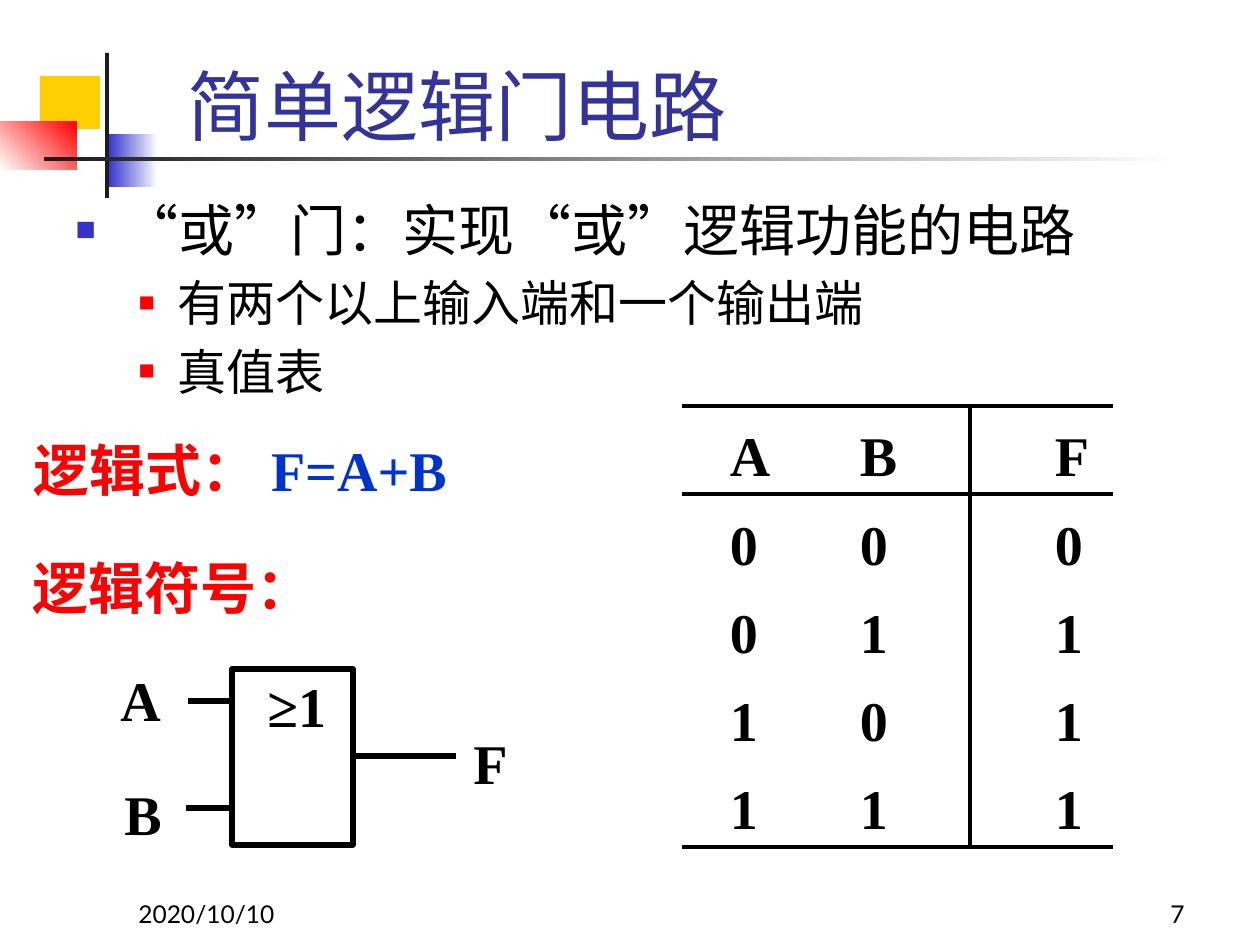
from lxml.etree import SubElement
from pptx import Presentation
from pptx.dml.color import RGBColor
from pptx.enum.lang import MSO_LANGUAGE_ID
from pptx.enum.shapes import MSO_CONNECTOR, MSO_SHAPE
from pptx.enum.text import MSO_ANCHOR, MSO_AUTO_SIZE, PP_ALIGN
from pptx.oxml import parse_xml
from pptx.oxml.ns import nsdecls, qn
from pptx.util import Emu, Pt

EMU_PER_PX = 914400 / 126
COLORS = {
    "black": "000000", "charcoal": "1C1C1C", "white": "FFFFFF",
    "yellow": "FFCF01", "red": "FF0000", "blue": "3333CC",
    "title": "333399", "formula": "0033CC",
}
SANS, SERIF = "Lato", "Times New Roman"
LINE_WIDTH = Pt(3)


def px(length):
    return Emu(round(length * EMU_PER_PX))


def rgb(name):
    return RGBColor.from_string(COLORS[name])


def write(paragraph, text, size=32, color="black", font=SERIF, bold=True,
          align=PP_ALIGN.LEFT):
    paragraph.alignment = align
    run = paragraph.add_run()
    run.text = text
    run.font.size = Pt(size)
    run.font.name = font
    run.font.bold = bold
    run.font.color.rgb = rgb(color)
    run.font.language_id = MSO_LANGUAGE_ID.SIMPLIFIED_CHINESE


def place(shape, left, top, width, height):
    shape.left, shape.top = px(left), px(top)
    shape.width, shape.height = px(width), px(height)


def add_label(slide, left, top, width, fill=None, height=79):
    """Add an empty label box and return its first paragraph."""
    shape = slide.shapes.add_textbox(px(left), px(top), px(width), px(height))
    if fill:
        shape.fill.solid()
        shape.fill.fore_color.rgb = rgb(fill)
    frame = shape.text_frame
    frame.word_wrap = True
    frame.margin_top = px(12)
    frame.margin_bottom = 0
    return frame.paragraphs[0]


def add_line(slide, x1, y1, x2, y2):
    line = slide.shapes.add_connector(
        MSO_CONNECTOR.STRAIGHT, px(x1), px(y1), px(x2), px(y2))
    line.line.color.rgb = rgb("black")
    line.line.width = LINE_WIDTH
    SubElement(line.element.spPr, qn("a:effectLst"))


def add_rectangle(slide, left, top, width, height):
    shape = slide.shapes.add_shape(
        MSO_SHAPE.RECTANGLE, px(left), px(top), px(width), px(height))
    shape.shadow.inherit = False
    shape.line.fill.background()
    return shape


def add_ornament(slide, left, top):
    blocks = [
        (40, 23, 60, 53, ["yellow"], 0),
        (108, 81, 50, 53, ["blue", "white"], 0),
        (0, 69, 77, 48, ["white", "red"], 45),
        (105, 0, 4, 145, ["charcoal"], 0),
        (44, 104, 1134, 4, ["charcoal", "white"], 0),
    ]
    for x, y, width, height, colors, angle in blocks:
        fill = add_rectangle(slide, left + x, top + y, width, height).fill
        if len(colors) == 1:
            fill.solid()
            fill.fore_color.rgb = rgb(colors[0])
            continue
        fill.gradient()
        fill.gradient_angle = angle
        for stop, color, position in zip(fill.gradient_stops, colors, (0, 1)):
            stop.color.rgb = rgb(color)
            stop.position = position


def fill_title(shape, text, *box):
    place(shape, *box)
    frame = shape.text_frame
    frame.auto_size = MSO_AUTO_SIZE.NONE
    frame.vertical_anchor = MSO_ANCHOR.BOTTOM
    write(frame.paragraphs[0], text, size=44, color="title", font=SANS, bold=False)


def set_bullet(paragraph, color, percent):
    properties = paragraph._p.get_or_add_pPr()
    for xml in (
        f'<a:buClr {nsdecls("a")}><a:srgbClr val="{COLORS[color]}"/></a:buClr>',
        f'<a:buSzPct {nsdecls("a")} val="{percent * 1000}"/>',
        f'<a:buChar {nsdecls("a")} char="■"/>',
    ):
        properties.append(parse_xml(xml))


def fill_body(shape, items, *box):
    """Write (level, text) items as a bulleted list."""
    place(shape, *box)
    frame = shape.text_frame
    frame.auto_size = MSO_AUTO_SIZE.NONE
    styles = [(32, "blue", 60), (28, "red", 55)]
    for index, (level, text) in enumerate(items):
        paragraph = frame.add_paragraph() if index else frame.paragraphs[0]
        size, color, percent = styles[level]
        paragraph.level = level
        write(paragraph, text, size=size, font=SANS, bold=False)
        set_bullet(paragraph, color, percent)


def set_borders(cell, sides):
    """Draw the named sides (L, R, T, B) and clear the others."""
    properties = cell._tc.get_or_add_tcPr()
    for index, side in enumerate("LRTB"):
        paint = (f'<a:solidFill><a:srgbClr val="{COLORS["black"]}"/></a:solidFill>'
                 if side in sides else "<a:noFill/>")
        properties.insert(index, parse_xml(
            f'<a:ln{side} {nsdecls("a")} w="{LINE_WIDTH}">{paint}</a:ln{side}>'))


def add_truth_table(slide, rows, left, top, width, height):
    column_widths, indents = (130, 158, 143), (48, 48, 85)
    table = slide.shapes.add_table(
        len(rows), len(column_widths), px(left), px(top), px(width), px(height)).table
    table.first_row = table.horz_banding = False
    for column, column_width in zip(table.columns, column_widths):
        column.width = px(column_width)
    last = len(rows) - 1
    for r, values in enumerate(rows):
        table.rows[r].height = px(height / len(rows))
        for c, value in enumerate(values):
            cell = table.cell(r, c)
            cell.fill.background()
            cell.margin_left, cell.margin_right = px(indents[c]), 0
            cell.margin_top, cell.margin_bottom = px(16), 0
            cell.vertical_anchor = MSO_ANCHOR.MIDDLE
            write(cell.text_frame.paragraphs[0], value)
            sides = ("", "R", "L")[c]
            sides += "T" if r in (0, 1) else ""
            sides += "B" if r in (0, last) else ""
            set_borders(cell, sides)


def add_or_gate(slide, left, top):
    body = add_rectangle(slide, left + 124, top + 16, 121, 176)
    body.fill.background()
    body.line.color.rgb = rgb("black")
    body.line.width = LINE_WIDTH
    for x1, x2, y in [(80, 126, 48), (78, 124, 155), (245, 348, 103)]:
        add_line(slide, left + x1, top + y, left + x2, top + y)
    for text, x, y, width in [("≥1", 147, 6, 87), ("A", 0, 0, 128),
                              ("B", 4, 114, 81), ("F", 353, 63, 117)]:
        write(add_label(slide, left + x, top + y, width), text)


def add_footer(slide, left, top, width, height):
    field_width = 262
    for text, x, align in [("2020/10/10", left, PP_ALIGN.LEFT),
                           ("7", left + width - field_width, PP_ALIGN.RIGHT)]:
        shape = slide.shapes.add_textbox(px(x), px(top), px(field_width), px(height))
        shape.text_frame.word_wrap = True
        shape.text_frame.vertical_anchor = MSO_ANCHOR.BOTTOM
        write(shape.text_frame.paragraphs[0], text, size=14, font=SANS,
              bold=False, align=align)


def main():
    presentation = Presentation()
    presentation.slide_width, presentation.slide_height = px(1260), px(945)
    slide = presentation.slides.add_slide(presentation.slide_layouts[1])
    add_ornament(slide, 0, 53)
    fill_title(slide.shapes.title, "简单逻辑门电路", 175, 73, 1074, 84)
    fill_body(slide.placeholders[1], [
        (0, "“或”门：实现“或”逻辑功能的电路"),
        (1, "有两个以上输入端和一个输出端"),
        (1, "真值表"),
    ], 63, 189, 1155, 672)
    add_truth_table(slide, ["ABF", "000", "011", "101", "111"], 682, 406, 431, 441)
    formula = add_label(slide, 21, 423, 507, fill="white")
    write(formula, "逻辑式：", color="red")
    write(formula, "F=A+B", color="formula")
    write(add_label(slide, 20, 541, 341, fill="white"), "逻辑符号：", color="red")
    add_or_gate(slide, 108, 653)
    add_footer(slide, 126, 872, 1071, 63)
    presentation.save("out.pptx")


if __name__ == "__main__":
    main()
